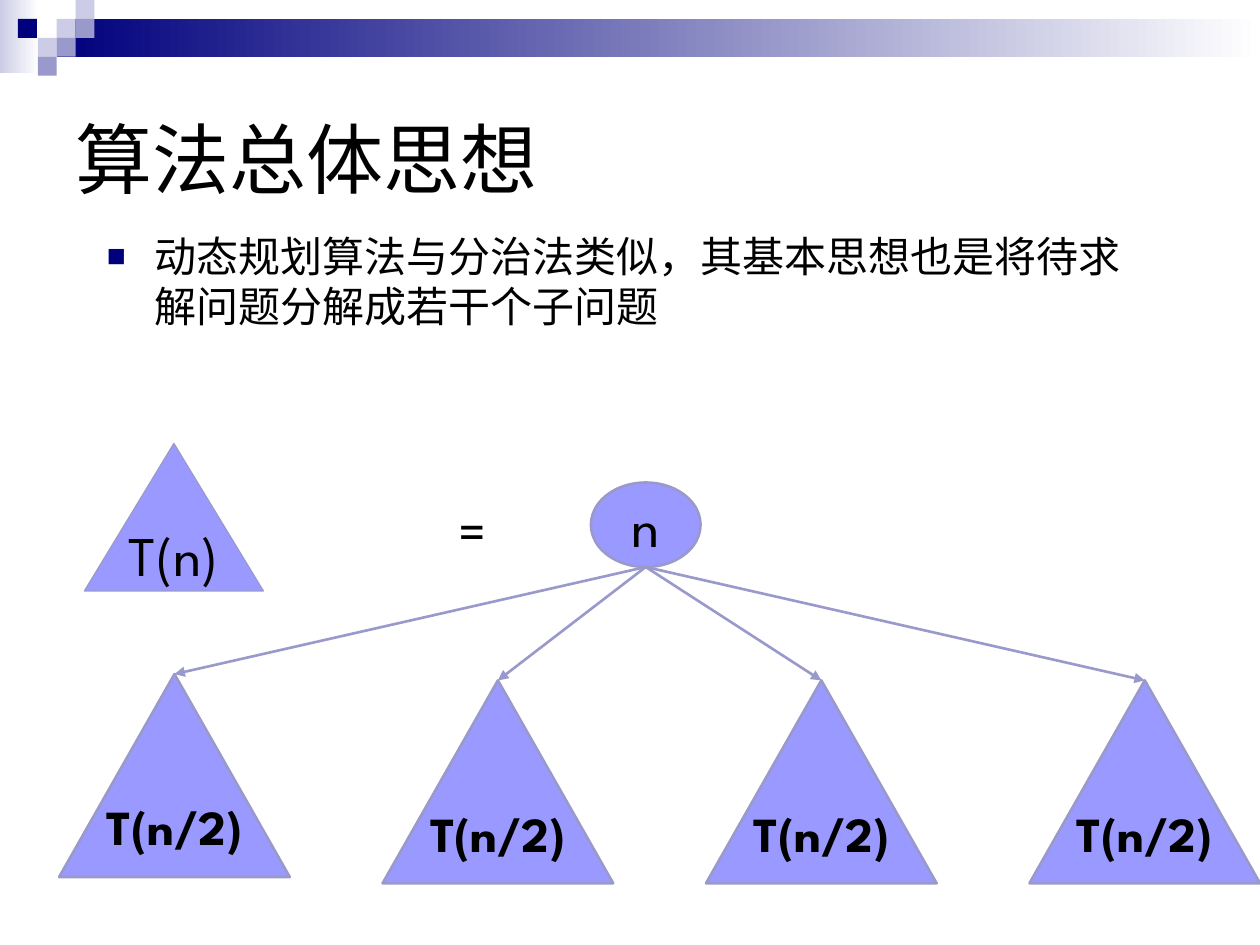
from dataclasses import dataclass

from lxml.etree import SubElement
from pptx import Presentation
from pptx.dml.color import RGBColor
from pptx.enum.shapes import MSO_CONNECTOR, MSO_SHAPE
from pptx.enum.text import MSO_ANCHOR, PP_ALIGN
from pptx.oxml.ns import qn
from pptx.util import Inches, Pt

COLUMNS, ROWS = 100, 75
WIDTH, HEIGHT = Inches(10), Inches(7.5)
CELL = 1.5

BLACK = RGBColor(0x00, 0x00, 0x00)
WHITE = RGBColor(0xFF, 0xFF, 0xFF)
NAVY = RGBColor(0x00, 0x00, 0x7D)
PALE = RGBColor(0xCC, 0xCC, 0xE6)
LAVENDER = RGBColor(0x99, 0x99, 0xCC)
VIOLET = RGBColor(0x99, 0x99, 0xFF)

LATIN = "Arial"
CHINESE = "Noto Sans CJK SC"
SPARTAN = "League Spartan"


@dataclass(frozen=True)
class Box:
    column: float
    row: float
    columns: float
    rows: float

    def place(self) -> tuple[int, int, int, int]:
        return (*point(self.column, self.row), *point(self.columns, self.rows))


@dataclass(frozen=True)
class Node:
    label: str
    kind: MSO_SHAPE
    box: Box
    size: int = 32
    bold: bool = False
    outline: float = 1.5


@dataclass(frozen=True)
class Tile:
    column: float
    row: int
    color: RGBColor


def point(column: float, row: float) -> tuple[int, int]:
    return round(WIDTH * column / COLUMNS), round(HEIGHT * row / ROWS)


def add_band(slide, box: Box, color: RGBColor) -> None:
    shape = slide.shapes.add_shape(MSO_SHAPE.RECTANGLE, *box.place())
    shape.shadow.inherit = False
    shape.line.fill.background()
    shape.fill.gradient()
    shape.fill.gradient_angle = 0
    for stop, stop_color in zip(shape.fill.gradient_stops, (color, WHITE)):
        stop.color.rgb = stop_color
    first, last = shape.fill.gradient_stops
    first.position, last.position = 0, 1


def add_tile(slide, tile: Tile) -> None:
    box = Box(tile.column * CELL, tile.row * CELL, CELL, CELL)
    shape = slide.shapes.add_shape(MSO_SHAPE.RECTANGLE, *box.place())
    shape.shadow.inherit = False
    shape.fill.solid()
    shape.fill.fore_color.rgb = tile.color
    shape.line.fill.background()


def set_font(paragraph, name: str, size: int, bold: bool = False) -> None:
    paragraph.font.name = name
    paragraph.font.size = Pt(size)
    paragraph.font.bold = bold
    paragraph.font.color.rgb = BLACK
    properties = paragraph._p.get_or_add_pPr().find(qn("a:defRPr"))
    SubElement(properties, qn("a:ea"), typeface=CHINESE)


def add_bullet(paragraph) -> None:
    properties = paragraph._p.get_or_add_pPr()
    indent = Inches(0.38)
    properties.set("marL", str(indent))
    properties.set("indent", str(-indent))
    color = SubElement(properties, qn("a:buClr"))
    SubElement(color, qn("a:srgbClr"), val=str(NAVY))
    SubElement(properties, qn("a:buSzPct"), val="75000")
    SubElement(properties, qn("a:buFont"), typeface=LATIN)
    SubElement(properties, qn("a:buChar"), char="■")


def add_text(slide, text: str, box: Box, font: str, size: int,
             anchor=MSO_ANCHOR.TOP, align=PP_ALIGN.LEFT, bullet: bool = False) -> None:
    frame = slide.shapes.add_textbox(*box.place()).text_frame
    frame.word_wrap = True
    frame.vertical_anchor = anchor
    paragraph = frame.paragraphs[0]
    paragraph.text = text
    paragraph.alignment = align
    if bullet:
        add_bullet(paragraph)
    set_font(paragraph, font, size)


def add_node(slide, node: Node) -> None:
    shape = slide.shapes.add_shape(node.kind, *node.box.place())
    shape.shadow.inherit = False
    shape.fill.solid()
    shape.fill.fore_color.rgb = VIOLET
    shape.line.color.rgb = LAVENDER
    shape.line.width = Pt(node.outline)
    frame = shape.text_frame
    frame.word_wrap = False
    frame.vertical_anchor = MSO_ANCHOR.MIDDLE
    paragraph = frame.paragraphs[0]
    paragraph.text = node.label
    paragraph.alignment = PP_ALIGN.CENTER
    set_font(paragraph, SPARTAN, node.size, node.bold)


def add_arrow(slide, parent: Box, child: Box) -> None:
    start = point(parent.column + parent.columns / 2, parent.row + parent.rows)
    end = point(child.column + child.columns / 2, child.row)
    arrow = slide.shapes.add_connector(MSO_CONNECTOR.STRAIGHT, *start, *end)
    arrow.line.color.rgb = LAVENDER
    arrow.line.width = Pt(1.5)
    SubElement(arrow.line._get_or_add_ln(), qn("a:tailEnd"), type="triangle")
    SubElement(arrow._element.spPr, qn("a:effectLst"))


TILES = (
    Tile(3, 1, PALE), Tile(4, 0, PALE), Tile(4, 1, LAVENDER),
    Tile(2, 2, PALE), Tile(0.95, 1, NAVY),
    Tile(3, 2, LAVENDER), Tile(2, 3, LAVENDER),
)
WHOLE = Node("T(n)", MSO_SHAPE.ISOSCELES_TRIANGLE, Box(6.7, 35.2, 14.2, 11.7), outline=0.75)
ROOT = Node("n", MSO_SHAPE.OVAL, Box(46.9, 38.3, 8.7, 6.7))
CHILD_PITCH = 25.67
CHILD_ROWS = (53.5, 54, 54, 54)
CHILDREN = [
    Node("T(n/2)", MSO_SHAPE.ISOSCELES_TRIANGLE,
         Box(4.7 + index * CHILD_PITCH, row, 18.3, 16.1), size=28, bold=True)
    for index, row in enumerate(CHILD_ROWS)
]


def main() -> None:
    presentation = Presentation()
    presentation.slide_width, presentation.slide_height = WIDTH, HEIGHT
    slide = presentation.slides.add_slide(presentation.slide_layouts[6])

    add_band(slide, Box(0, 0, 3.1, 5.8), PALE)
    add_band(slide, Box(4.5, CELL, 95.5, 2 * CELL), NAVY)
    for tile in TILES:
        add_tile(slide, tile)

    add_text(slide, "算法总体思想", Box(5, 5, 90, 15), LATIN, 44, MSO_ANCHOR.MIDDLE)
    add_text(slide, "动态规划算法与分治法类似，其基本思想也是将待求解问题分解成若干个子问题",
             Box(7.5, 17.8, 85, 45), CHINESE, 24, bullet=True)

    add_node(slide, ROOT)
    for child in CHILDREN:
        add_arrow(slide, ROOT.box, child.box)
    for node in (*CHILDREN, WHOLE):
        add_node(slide, node)
    add_text(slide, "=", Box(31.7, 38.8, 11.7, 6.4), SPARTAN, 32, align=PP_ALIGN.CENTER)

    presentation.save("out.pptx")


if __name__ == "__main__":
    main()
